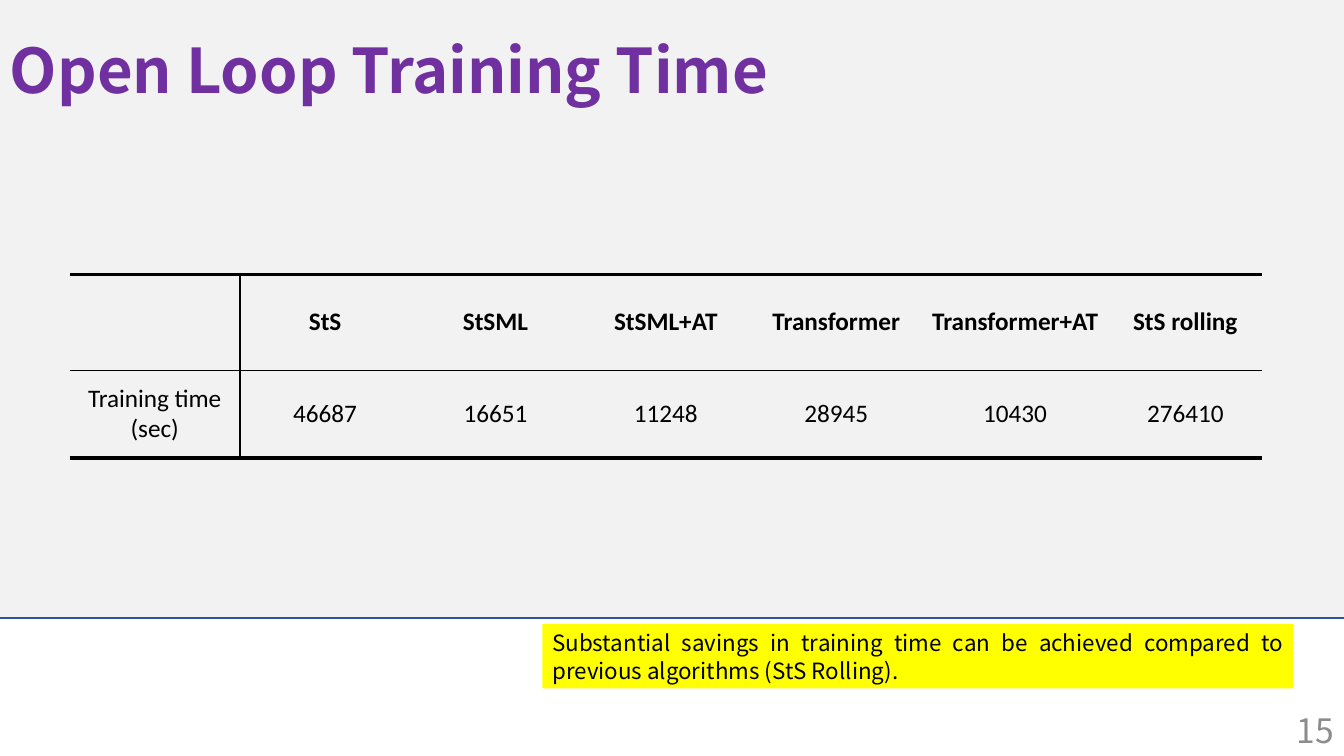
import pptx
import pptx.util
import pptx.dml.color
import pptx.enum.shapes
import pptx.enum.text
from lxml import etree

Pt = pptx.util.Pt
Align = pptx.enum.text.PP_ALIGN
Anchor = pptx.enum.text.MSO_ANCHOR

# Content
TITLE = "Open Loop Training Time"
PAGE_NUMBER = "15"
TAKEAWAY = ("Substantial savings in training time can be achieved compared to "
            "previous algorithms (StS Rolling).")
TRAINING_TIMES = [
    ["", "StS", "StSML", "StSML+AT", "Transformer", "Transformer+AT", "StS rolling"],
    ["Training time\n(sec)", "46687", "16651", "11248", "28945", "10430", "276410"],
]

# Theme
THEME = {
    "heading_font": "Noto Sans CJK SC", "table_font": "Calibri",
    "title": "7030A0", "number": "8C8C8C", "ink": "000000",
    "panel": "F2F2F2", "panel_line": "2F5597", "highlight": "FFFF00",
    "title_size": 44, "number_size": 24, "table_size": 18, "takeaway_size": 16,
    "thick": 3, "thin": 1,
}

# Layout in points: left, top, width, height
PANEL = (-0.7, -3.6, 961.2, 445)
TITLE_BOX = (0, 0, 957, 104.4)
NUMBER_BOX = (743.8, 507, 216, 28.8)
TABLE_BOX = (49.7, 196, 851.7, 131)
TAKEAWAY_BOX = (387.4, 445.7, 536.4, 46.1)
COLUMN_WIDTHS = [121.7] * 5 + [133.9, 109.3]
ROW_HEIGHTS = [68.4, 62.6]


def rgb(name):
    return pptx.dml.color.RGBColor.from_string(THEME[name])


def apply(target, formats):
    for name, value in formats.items():
        setattr(target, name, value)


def write(frame, text, font, size, color, bold=False, **paragraph_format):
    frame.word_wrap = True
    frame.text = text
    for paragraph in frame.paragraphs:
        apply(paragraph, paragraph_format)
        for run in paragraph.runs:
            apply(run.font, {"name": THEME[font], "size": Pt(THEME[size]), "bold": bold})
            run.font.color.rgb = rgb(color)


def add_box(slide, box, fill, line=None):
    shape = slide.shapes.add_shape(pptx.enum.shapes.MSO_SHAPE.RECTANGLE, *map(Pt, box))
    shape.shadow.inherit = False
    shape.fill.solid()
    shape.fill.fore_color.rgb = rgb(fill)
    if line:
        shape.line.color.rgb = rgb(line)
        shape.line.width = Pt(THEME["thin"])
    else:
        shape.line.fill.background()
    return shape


def add_text(slide, box, text, *style, **paragraph_format):
    frame = slide.shapes.add_textbox(*map(Pt, box)).text_frame
    frame.vertical_anchor = Anchor.MIDDLE
    write(frame, text, *style, **paragraph_format)


def set_borders(cell, weights):
    properties = cell._tc.get_or_add_tcPr()
    namespace = "{http://schemas.openxmlformats.org/drawingml/2006/main}"
    for position, side in enumerate(("lnL", "lnR", "lnT", "lnB")):
        weight = weights.get(side)
        border = etree.Element(namespace + side, w=str(Pt(THEME[weight]) if weight else 0))
        if weight:
            fill = etree.SubElement(border, namespace + "solidFill")
            etree.SubElement(fill, namespace + "srgbClr", val=THEME["ink"])
        else:
            etree.SubElement(border, namespace + "noFill")
        properties.insert(position, border)


def add_training_table(slide):
    table = slide.shapes.add_table(
        len(ROW_HEIGHTS), len(COLUMN_WIDTHS), *map(Pt, TABLE_BOX)).table
    apply(table, {"first_row": False, "horz_banding": False})
    for column, width in zip(table.columns, COLUMN_WIDTHS):
        column.width = Pt(width)
    for r, (row, height) in enumerate(zip(table.rows, ROW_HEIGHTS)):
        row.height = Pt(height)
        for c, cell in enumerate(row.cells):
            header = r == 0
            write(cell.text_frame, TRAINING_TIMES[r][c], "table_font", "table_size",
                  "ink", header, alignment=Align.CENTER)
            cell.vertical_anchor = Anchor.MIDDLE
            if not header and c > 0:
                side = Pt(5 if c == len(COLUMN_WIDTHS) - 1 else 0.7)
                apply(cell, {"margin_left": side, "margin_right": side,
                             "margin_top": Pt(0.5), "margin_bottom": 0})
            cell.fill.background()
            # Thick rules outside, thin rules beside and under the headers
            set_borders(cell, {
                "lnT": "thick" if header else "thin",
                "lnB": "thin" if header else "thick",
                "lnR": "thin" if c == 0 else None,
                "lnL": "thin" if c == 1 else None,
            })


def main():
    deck = pptx.Presentation()
    apply(deck, {"slide_width": Pt(960), "slide_height": Pt(540)})
    slide = deck.slides.add_slide(deck.slide_layouts[6])

    # Panel, title and page number
    add_box(slide, PANEL, "panel", "panel_line")
    add_text(slide, TITLE_BOX, TITLE, "heading_font", "title_size", "title", True,
             line_spacing=0.9)
    add_text(slide, NUMBER_BOX, PAGE_NUMBER, "heading_font", "number_size", "number",
             alignment=Align.RIGHT)

    # Training times
    add_training_table(slide)

    # Highlighted takeaway
    takeaway = add_box(slide, TAKEAWAY_BOX, "highlight").text_frame
    takeaway.vertical_anchor = Anchor.TOP
    write(takeaway, TAKEAWAY, "heading_font", "takeaway_size", "ink",
          alignment=Align.JUSTIFY, line_spacing=Pt(19.5))

    deck.save("out.pptx")


if __name__ == "__main__":
    main()
